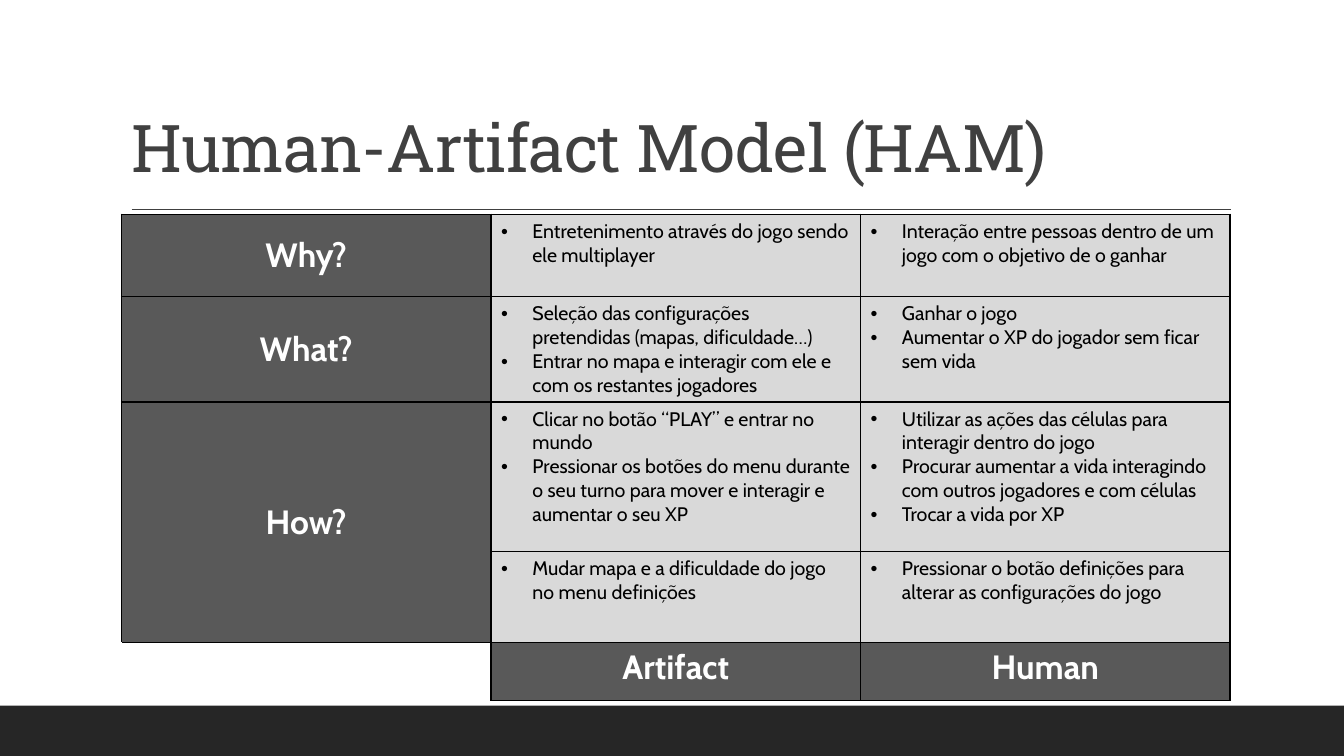
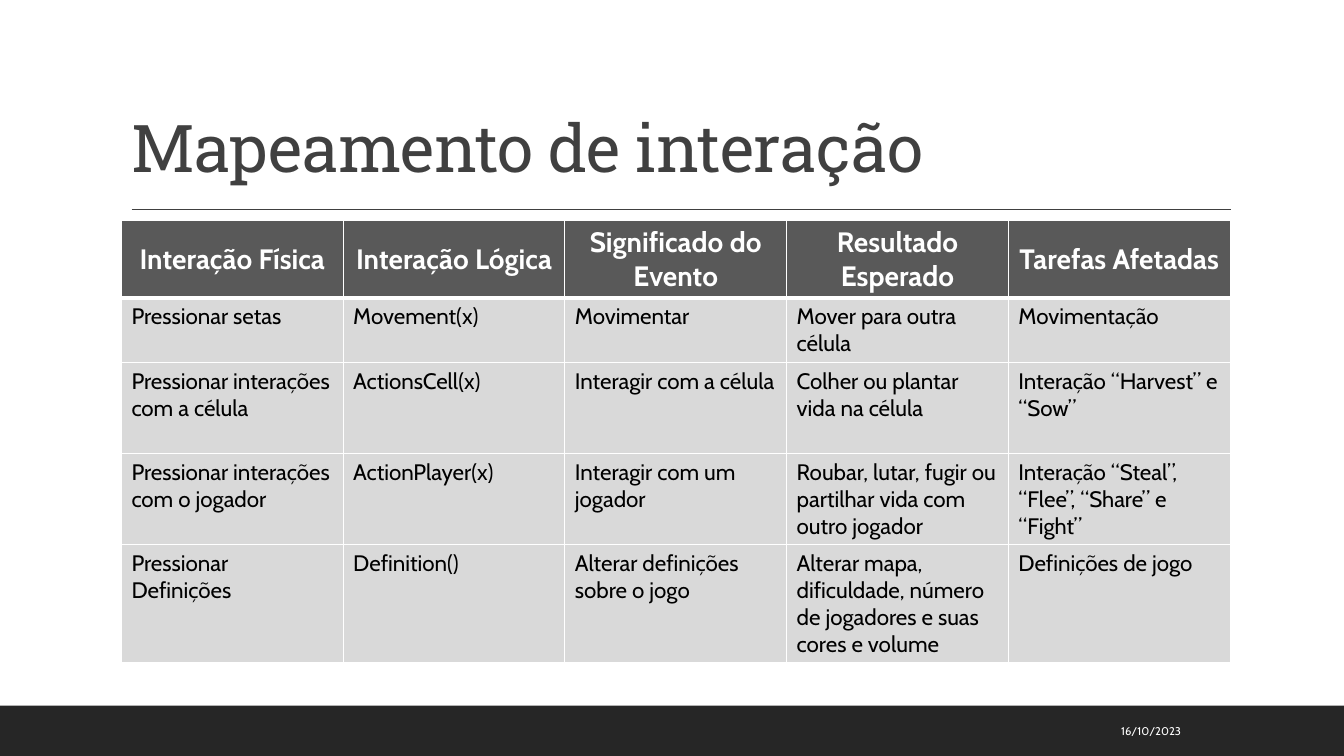
from pptx import Presentation
from pptx.dml.color import RGBColor
from pptx.enum.shapes import MSO_CONNECTOR, MSO_SHAPE
from pptx.enum.text import MSO_ANCHOR, PP_ALIGN
from pptx.oxml.ns import qn
from pptx.util import Cm, Pt
from lxml.etree import SubElement

BLACK = RGBColor(0x00, 0x00, 0x00)
WHITE = RGBColor(0xFF, 0xFF, 0xFF)
BAND = RGBColor(0x26, 0x26, 0x26)
TITLE = RGBColor(0x40, 0x40, 0x40)
HEADING_FILL = RGBColor(0x59, 0x59, 0x59)
BODY_FILL = RGBColor(0xD9, 0xD9, 0xD9)

TITLE_FONT = "Roboto Slab"
BODY_FONT = "Cabin"

SLIDE_WIDTH, SLIDE_HEIGHT = Cm(33.87), Cm(19.05)
BAND_TOP = Cm(17.78)
CONTENT_LEFT, CONTENT_WIDTH = Cm(3.06), Cm(27.94)
RULE_LEFT, RULE_RIGHT, RULE_TOP = Cm(3.32), Cm(31.01), Cm(5.28)
BULLET_INDENT = Cm(0.79)

MODEL_ROW_HEIGHTS = [2.08, 2.65, 3.77, 2.29, 1.47]
MODEL_HEADINGS = ["Why?", "What?", "How?"]
MODEL_BODY = [
    (["Entretenimento através do jogo sendo ele multiplayer"],
     ["Interação entre pessoas dentro de um jogo com o objetivo de o ganhar"]),
    (["Seleção das configurações pretendidas (mapas, dificuldade…)",
      "Entrar no mapa e interagir com ele e com os restantes jogadores"],
     ["Ganhar o jogo",
      "Aumentar o XP do jogador sem ficar sem vida"]),
    (["Clicar no botão “PLAY” e entrar no mundo",
      "Pressionar os botões do menu durante o seu turno para mover e interagir e aumentar o seu XP"],
     ["Utilizar as ações das células para interagir dentro do jogo",
      "Procurar aumentar a vida interagindo com outros jogadores e com células",
      "Trocar a vida por XP"]),
    (["Mudar mapa e a dificuldade do jogo no menu definições"],
     ["Pressionar o botão definições para alterar as configurações do jogo"]),
]
MODEL_FOOTER = ["Artifact", "Human"]

MAPPING_ROW_HEIGHTS = [1.95, 1.63, 2.29, 2.29, 2.97]
MAPPING_HEADINGS = ["Interação Física", "Interação Lógica", "Significado do Evento",
                    "Resultado Esperado", "Tarefas Afetadas"]
MAPPING_BODY = [
    ("Pressionar setas", "Movement(x)", "Movimentar",
     "Mover para outra célula", "Movimentação"),
    ("Pressionar interações com a célula", "ActionsCell(x)", "Interagir com a célula",
     "Colher ou plantar vida na célula", "Interação “Harvest” e “Sow”"),
    ("Pressionar interações com o jogador", "ActionPlayer(x)", "Interagir com um jogador",
     "Roubar, lutar, fugir ou partilhar vida com outro jogador",
     "Interação “Steal”, “Flee”, “Share” e “Fight”"),
    ("Pressionar Definições", "Definition()", "Alterar definições sobre o jogo",
     "Alterar mapa, dificuldade, número de jogadores e suas cores e volume",
     "Definições de jogo"),
]


def style_font(paragraph, name, size, color, bold=False):
    font = paragraph.font
    font.name = name
    font.size = Pt(size)
    font.bold = bold
    font.color.rgb = color


def add_text(slide, text, left, top, width, height, anchor):
    frame = slide.shapes.add_textbox(left, top, width, height).text_frame
    frame.word_wrap = True
    frame.vertical_anchor = anchor
    paragraph = frame.paragraphs[0]
    paragraph.text = text
    return paragraph


def add_titled_slide(presentation, title):
    slide = presentation.slides.add_slide(presentation.slide_layouts[6])
    band = slide.shapes.add_shape(MSO_SHAPE.RECTANGLE, 0, BAND_TOP,
                                  SLIDE_WIDTH, SLIDE_HEIGHT - BAND_TOP)
    band.shadow.inherit = False
    band.fill.solid()
    band.fill.fore_color.rgb = BAND
    band.line.fill.background()

    rule = slide.shapes.add_connector(MSO_CONNECTOR.STRAIGHT, RULE_LEFT, RULE_TOP,
                                      RULE_RIGHT, RULE_TOP)
    rule.line.color.rgb = TITLE
    rule.line.width = Pt(1)
    SubElement(rule._element.spPr, qn("a:effectLst"))

    paragraph = add_text(slide, title, CONTENT_LEFT, Cm(0.79), CONTENT_WIDTH, Cm(4.04),
                         MSO_ANCHOR.BOTTOM)
    paragraph.line_spacing = 0.9
    style_font(paragraph, TITLE_FONT, 47, TITLE)
    paragraph.font._element.set("spc", "-50")
    return slide


def add_plain_table(slide, top, row_heights, column_count):
    table = slide.shapes.add_table(len(row_heights), column_count, CONTENT_LEFT, top,
                                   CONTENT_WIDTH, Cm(sum(row_heights))).table
    table.first_row = False
    table.horz_banding = False
    for row, height in zip(table.rows, row_heights):
        row.height = Cm(height)
    return table


def style_cell(cell, fill, border, **widths):
    properties = cell._tc.get_or_add_tcPr()
    for side in "LRTB":
        width = widths.get(side, 1)
        if width:
            line = SubElement(properties, qn(f"a:ln{side}"), w=str(Pt(width)))
            solid = SubElement(line, qn("a:solidFill"))
            SubElement(solid, qn("a:srgbClr"), val=str(border))
    cell.fill.solid()
    cell.fill.fore_color.rgb = fill


def fill_heading(cell, text, size, anchor=MSO_ANCHOR.MIDDLE):
    cell.vertical_anchor = anchor
    paragraph = cell.text_frame.paragraphs[0]
    paragraph.text = text
    paragraph.alignment = PP_ALIGN.CENTER
    style_font(paragraph, BODY_FONT, size, WHITE, bold=True)


def fill_bullets(cell, items):
    cell.text = "\n".join(items)
    for paragraph in cell.text_frame.paragraphs:
        properties = paragraph._p.get_or_add_pPr()
        properties.set("marL", str(BULLET_INDENT))
        properties.set("indent", str(-BULLET_INDENT))
        SubElement(properties, qn("a:buFont"), typeface="Arial")
        SubElement(properties, qn("a:buChar"), char="•")
        style_font(paragraph, BODY_FONT, 14, BLACK)


def add_model_table(slide):
    table = add_plain_table(slide, Cm(5.4), MODEL_ROW_HEIGHTS, 3)
    last_row = len(MODEL_BODY)
    for row, bodies in enumerate(MODEL_BODY):
        style_cell(table.cell(row, 0), HEADING_FILL, BLACK)
        for column, items in enumerate(bodies, start=1):
            cell = table.cell(row, column)
            style_cell(cell, BODY_FILL, BLACK)
            fill_bullets(cell, items)
    for row, heading in enumerate(MODEL_HEADINGS):
        fill_heading(table.cell(row, 0), heading, 24)
    table.cell(2, 0).merge(table.cell(3, 0))
    style_cell(table.cell(last_row, 0), WHITE, BLACK, L=0, B=0)
    for column, heading in enumerate(MODEL_FOOTER, start=1):
        cell = table.cell(last_row, column)
        style_cell(cell, HEADING_FILL, BLACK)
        fill_heading(cell, heading, 24, MSO_ANCHOR.TOP)


def add_mapping_table(slide):
    table = add_plain_table(slide, Cm(5.56), MAPPING_ROW_HEIGHTS, len(MAPPING_HEADINGS))
    for column, heading in enumerate(MAPPING_HEADINGS):
        cell = table.cell(0, column)
        style_cell(cell, HEADING_FILL, WHITE, B=3)
        fill_heading(cell, heading, 20)
    for row, texts in enumerate(MAPPING_BODY, start=1):
        for column, text in enumerate(texts):
            cell = table.cell(row, column)
            style_cell(cell, BODY_FILL, WHITE, T=3 if row == 1 else 1)
            cell.text = text
            style_font(cell.text_frame.paragraphs[0], BODY_FONT, 16, BLACK)


def add_date(slide, date):
    paragraph = add_text(slide, date, Cm(22.83), Cm(17.91), Cm(7.19), Cm(1.02),
                         MSO_ANCHOR.MIDDLE)
    paragraph.alignment = PP_ALIGN.RIGHT
    style_font(paragraph, BODY_FONT, 8, WHITE)


def main():
    presentation = Presentation()
    presentation.slide_width = SLIDE_WIDTH
    presentation.slide_height = SLIDE_HEIGHT

    add_model_table(add_titled_slide(presentation, "Human-Artifact Model (HAM)"))

    mapping_slide = add_titled_slide(presentation, "Mapeamento de interação")
    add_mapping_table(mapping_slide)
    add_date(mapping_slide, "16/10/2023")

    presentation.save("out.pptx")


if __name__ == "__main__":
    main()
